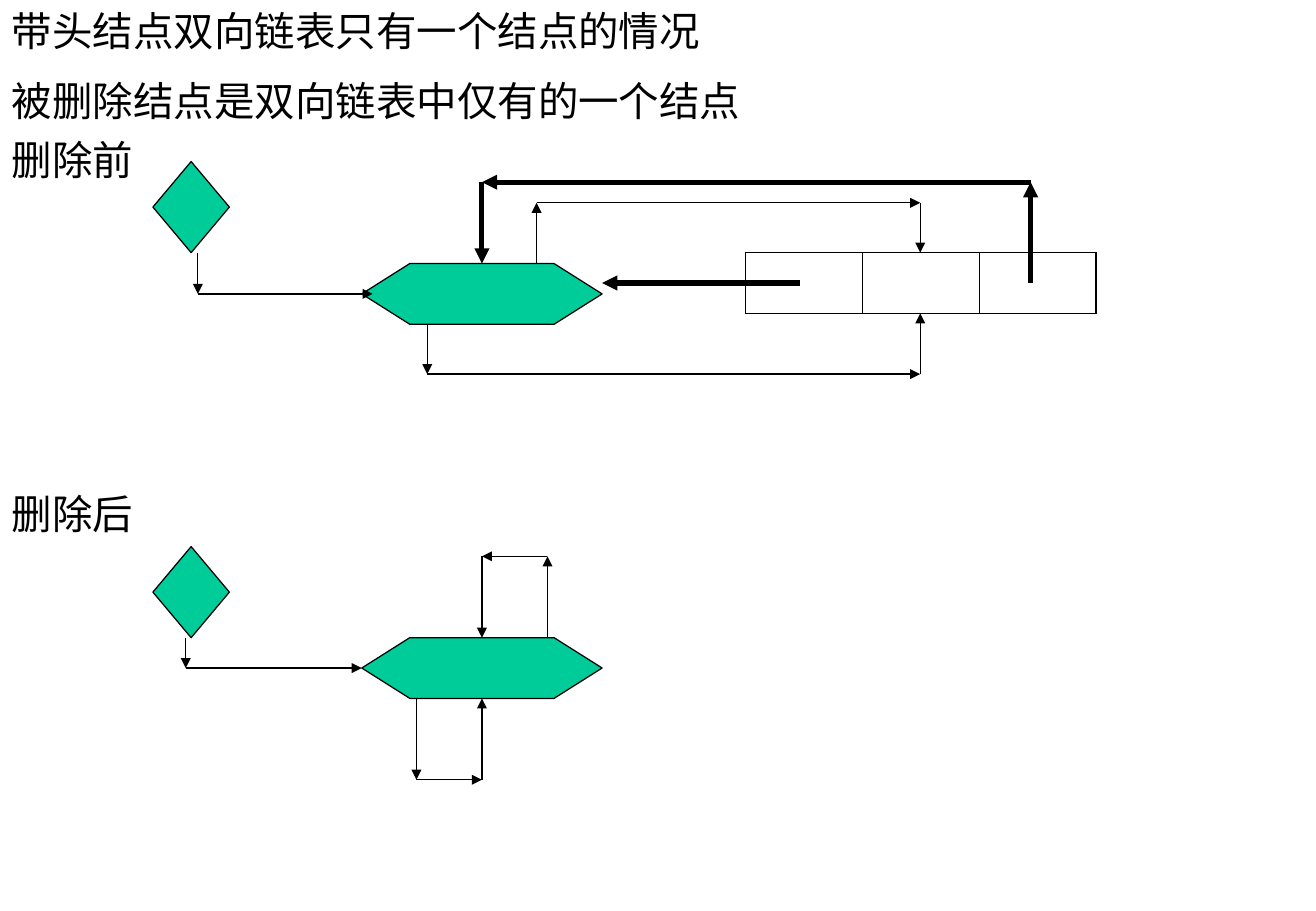
from pptx import Presentation
from pptx.dml.color import RGBColor
from pptx.enum.shapes import MSO_CONNECTOR, MSO_SHAPE
from pptx.enum.text import MSO_ANCHOR
from pptx.oxml import parse_xml
from pptx.oxml.ns import nsdecls
from pptx.util import Pt

PX = 9144  # 100 px to the inch
BLACK = RGBColor(0x00, 0x00, 0x00)
GREEN = RGBColor(0x00, 0xCC, 0x99)

deck = Presentation()
deck.slide_width, deck.slide_height = 1084 * PX, 750 * PX
slide = deck.slides.add_slide(deck.slide_layouts[6])
shapes = slide.shapes


def put_text(text, left, top, width, height, size=24, font="Times New Roman", color=BLACK):
    box = shapes.add_textbox(left * PX, top * PX, width * PX, height * PX)
    frame = box.text_frame
    frame.word_wrap = True
    frame.vertical_anchor = MSO_ANCHOR.TOP
    frame.text = text
    for i, para in enumerate(frame.paragraphs):
        para.space_before = Pt(6 if i else 0)
        para.font.size = Pt(size)
        para.font.name = font
        para.font.color.rgb = color


def draw_route(points, width=0.75, head=None, site=None):
    """Chain of arrows; the last one may join a site of the head node."""
    for start, end in zip(points, points[1:]):
        arrow = shapes.add_connector(
            MSO_CONNECTOR.STRAIGHT, *[v * PX for v in start + end])
        arrow.line.color.rgb = BLACK
        arrow.line.width = Pt(width)
        line = arrow.line._get_or_add_ln()
        line.append(parse_xml(f'<a:tailEnd {nsdecls("a")} type="triangle"/>'))
        arrow._element.spPr.append(parse_xml(f'<a:effectLst {nsdecls("a")}/>'))
    if head is not None:
        arrow.end_connect(head, site)


# Title and captions
put_text("带头结点双向链表只有一个结点的情况", 0, 0, 921, 50)
put_text("被删除结点是双向链表中仅有的一个结点\n删除前", 0, 58, 1038, 100)
put_text("删除后", 0, 398, 200, 50)

# Pointer diamond and head node, before and after
heads = []
for top, head_top in ((133, 217), (450, 525)):
    for kind, left, y, width, height in (
            (MSO_SHAPE.DIAMOND, 126, top, 63, 75),
            (MSO_SHAPE.FLOWCHART_PREPARATION, 298, head_top, 198, 50)):
        node = shapes.add_shape(kind, left * PX, y * PX, width * PX, height * PX)
        node.shadow.inherit = False
        node.fill.solid()
        node.fill.fore_color.rgb = GREEN
        node.line.color.rgb = BLACK
        node.line.width = Pt(0.75)
    heads.append(node)
before, after = heads

# List node with three fields
table = shapes.add_table(1, 3, 614 * PX, 208 * PX, 289 * PX, 50 * PX).table
table.first_row = table.horz_banding = False
for col in range(3):
    cell = table.cell(0, col)
    cell.fill.background()
    widths = {"L": 0.45 if col else 1.08, "R": 1.08 if col == 2 else 0.45,
              "T": 1.08, "B": 1.08}
    props = cell._tc.get_or_add_tcPr()
    for i, (side, width) in enumerate(widths.items()):
        props.insert(i, parse_xml(
            f'<a:ln{side} {nsdecls("a")} w="{Pt(width)}"><a:solidFill>'
            f'<a:srgbClr val="{BLACK}"/></a:solidFill></a:ln{side}>'))

# Links before the deletion
draw_route([(163, 208), (163, 242), (307, 242)])
draw_route([(352, 267), (352, 308), (758, 308), (758, 258)])
draw_route([(442, 217), (442, 167), (758, 167), (758, 208)])
draw_route([(659, 233), (496, 233)], width=3)
draw_route([(849, 233), (849, 150), (397, 150), (397, 217)],
           width=3, head=before, site=0)

# Links after the deletion
draw_route([(153, 525), (153, 550), (298, 550)], head=after, site=1)
draw_route([(343, 575), (343, 642), (397, 642), (397, 575)], head=after, site=2)
draw_route([(451, 525), (451, 458), (397, 458), (397, 525)], head=after, site=0)

deck.save("out.pptx")
